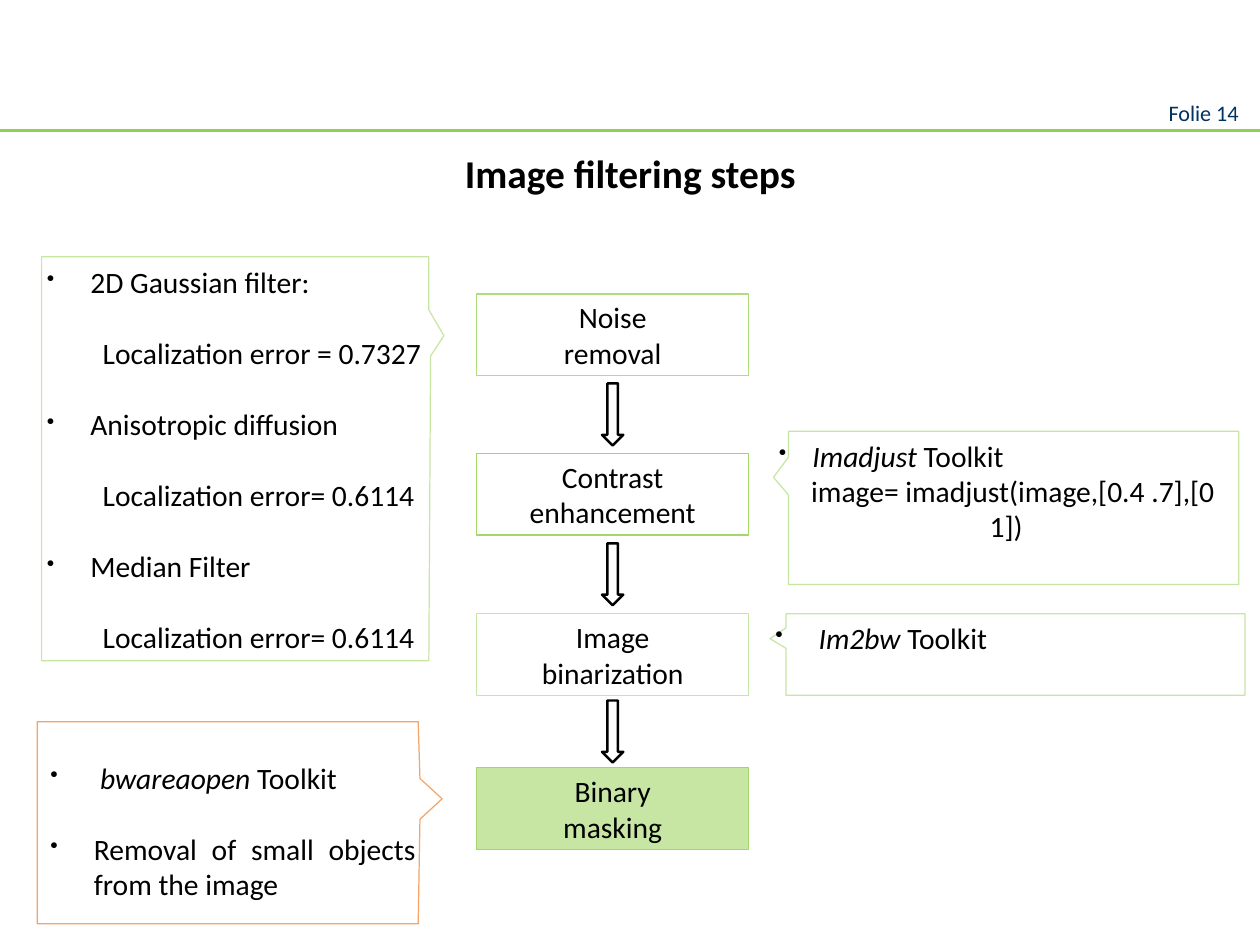
from lxml.etree import SubElement
from pptx import Presentation
from pptx.dml.color import RGBColor
from pptx.enum.shapes import MSO_CONNECTOR as Connector, MSO_SHAPE as Shape
from pptx.enum.text import MSO_ANCHOR as Anchor, PP_ALIGN as Align
from pptx.oxml.ns import qn
from pptx.util import Inches, Pt

BLACK, WHITE, GREEN, ORANGE = "000000", "FFFFFF", "C7E6A4", "F4A467"
INSET = 0.06
BLANK_LINE = 29


def color(hex_value):
    return RGBColor.from_string(hex_value)


def apply(target, values):
    for name, value in values.items():
        setattr(target, name, value)


def paint(shape, fill, line, width=1):
    shape.shadow.inherit = False
    if fill:
        shape.fill.solid()
        shape.fill.fore_color.rgb = color(fill)
    else:
        shape.fill.background()
    shape.line.color.rgb = color(line)
    shape.line.width = Pt(width)


def set_frame(frame, anchor, left=INSET, top=INSET, right=INSET):
    apply(frame, {
        "word_wrap": True, "vertical_anchor": anchor,
        "margin_left": Inches(left), "margin_top": Inches(top),
        "margin_right": Inches(right), "margin_bottom": Inches(INSET),
    })


def write(frame, lines):
    for number, line in enumerate(lines):
        paragraph = frame.paragraphs[0] if number == 0 else frame.add_paragraph()
        paragraph.alignment = line.get("align", Align.CENTER)
        if "before" in line:
            paragraph.space_before = Pt(line["before"])
        properties = paragraph._p.get_or_add_pPr()
        properties.set("marL", str(Inches(line.get("margin", 0))))
        properties.set("indent", str(Inches(line.get("indent", 0))))
        if line.get("bullet"):
            SubElement(properties, qn("a:buSzPct"), val="75000")
            SubElement(properties, qn("a:buChar"), char="•")
        for part, italic in line["parts"]:
            for index, text in enumerate(part.split("\n")):
                if index:
                    paragraph.add_line_break()
                run = paragraph.add_run()
                run.text = text
                apply(run.font, {
                    "name": "Calibri", "size": Pt(line.get("size", 24)),
                    "bold": line.get("bold", False), "italic": italic,
                })
                run.font.color.rgb = color(line.get("color", BLACK))


def plain(text, **values):
    return {"parts": [(text, False)], **values}


def bullet(*parts, hang=0.49, **values):
    return {"parts": parts, "bullet": True, "margin": hang, "indent": -hang,
            "align": Align.JUSTIFY, **values}


def command_bullet(command, **values):
    return bullet((f"{command} ", True), ("Toolkit", False), **values)


def add_label(slide, box, anchor, line):
    label = slide.shapes.add_textbox(*map(Inches, box))
    set_frame(label.text_frame, anchor)
    write(label.text_frame, [line])


def add_header(slide, box):
    left, top, width, height = box
    rule_y = top + height
    rule = slide.shapes.add_connector(
        Connector.STRAIGHT, *map(Inches, (left, rule_y, left + width, rule_y)))
    rule.line.color.rgb = color("92D050")
    rule.line.width = Pt(2.25)
    SubElement(rule._element.spPr, qn("a:effectLst"))
    add_label(slide, (left + width - 2.78, rule_y - 0.41, 2.6, 0.42), Anchor.MIDDLE,
              plain("Folie 14", size=18, color="013260", align=Align.RIGHT))
    add_label(slide, (left + 0.24, rule_y + 0.16, width - 0.47, 0.7), Anchor.TOP,
              plain("Image filtering steps", size=32, bold=True))


def add_flow(slide, box, steps):
    left, top, width, step_height = box
    arrow_width, arrow_height = 0.24, 0.7
    previous_bottom = None
    for offset, fill, line, words in steps:
        step_top = top + offset
        step = slide.shapes.add_shape(
            Shape.RECTANGLE, *map(Inches, (left, step_top, width, step_height)))
        paint(step, fill, line)
        set_frame(step.text_frame, Anchor.MIDDLE)
        write(step.text_frame, [plain(word) for word in words])
        if previous_bottom:
            arrow_top = (previous_bottom + step_top - arrow_height) / 2
            arrow = slide.shapes.add_shape(Shape.DOWN_ARROW, *map(Inches, (
                left + (width - arrow_width) / 2, arrow_top, arrow_width, arrow_height)))
            paint(arrow, WHITE, BLACK, 2)
        previous_bottom = step_top + step_height


def add_callout(slide, box, points_right, notch, line, insets, lines):
    left, top, width, height = box
    right, bottom = left + width, top + height
    near, far, outward = (right, left, 1) if points_right else (left, right, -1)
    tip = [(near + outward * out, top + down) for out, down in notch]
    outline = [(far, top), (near, top), *tip, (near, bottom), (far, bottom)]
    corners = [(Inches(x), Inches(y)) for x, y in outline]
    builder = slide.shapes.build_freeform(*corners[0])
    builder.add_line_segments(corners[1:], close=True)
    callout = builder.convert_to_shape()
    paint(callout, None, line)
    set_frame(callout.text_frame, Anchor.TOP, *insets)
    write(callout.text_frame, lines)


def add_noise_callout(slide, box):
    filters = [("2D Gaussian filter:", "Localization error = 0.7327"),
               ("Anisotropic diffusion", "Localization error= 0.6114"),
               ("Median Filter", "Localization error= 0.6114")]
    lines = []
    for number, (method, error) in enumerate(filters):
        gap = {"before": BLANK_LINE} if number else {}
        lines.append(bullet((method, False), **gap))
        lines.append(plain(error, margin=0.63, align=Align.JUSTIFY, before=BLANK_LINE))
    add_callout(slide, box, True, [(0, 0.6), (0.17, 0.89), (0.02, 1.12)],
                GREEN, (INSET, 0.08), lines)


def add_contrast_callout(slide, box):
    add_callout(slide, box, False, [(0, 0.29), (0.17, 0.52), (0, 0.72)],
                GREEN, (INSET, 0.07), [
                    command_bullet("Imadjust", hang=0.38),
                    plain("image= imadjust(image,[0.4 .7],[0\n1])", indent=0.15)])


def add_binarization_callout(slide, box):
    add_callout(slide, box, False, [(0, 0.16), (0.18, 0.28), (0, 0.39)],
                GREEN, (INSET, 0.07), [command_bullet("Im2bw")])


def add_masking_callout(slide, box):
    add_callout(slide, box, True, [(0.02, 0.64), (0.27, 0.87), (0.02, 1.1)],
                ORANGE, (0.15, 0.43, 0.3), [
                    command_bullet("bwareaopen", hang=0.56),
                    bullet(("Removal of small objects from the image", False),
                           before=BLANK_LINE)])


def main():
    deck = Presentation()
    apply(deck, {"slide_width": Inches(14.22), "slide_height": Inches(10.67)})
    slide = deck.slides.add_slide(deck.slide_layouts[6])
    add_header(slide, (0, 0, 14.22, 1.47))
    add_flow(slide, (5.38, 3.32, 3.07, 0.92), [
        (0, None, "AFDC7E", ("Noise", "removal")),
        (1.8, None, "A4D66C", ("Contrast", "enhancement")),
        (3.61, None, GREEN, ("Image", "binarization")),
        (5.35, GREEN, "A4D66C", ("Binary", "masking")),
    ])
    add_noise_callout(slide, (0.47, 2.9, 4.37, 4.56))
    add_contrast_callout(slide, (8.9, 4.87, 5.08, 1.73))
    add_binarization_callout(slide, (8.87, 6.93, 5.18, 0.92))
    add_masking_callout(slide, (0.42, 8.15, 4.3, 2.28))
    deck.save("out.pptx")


if __name__ == "__main__":
    main()
